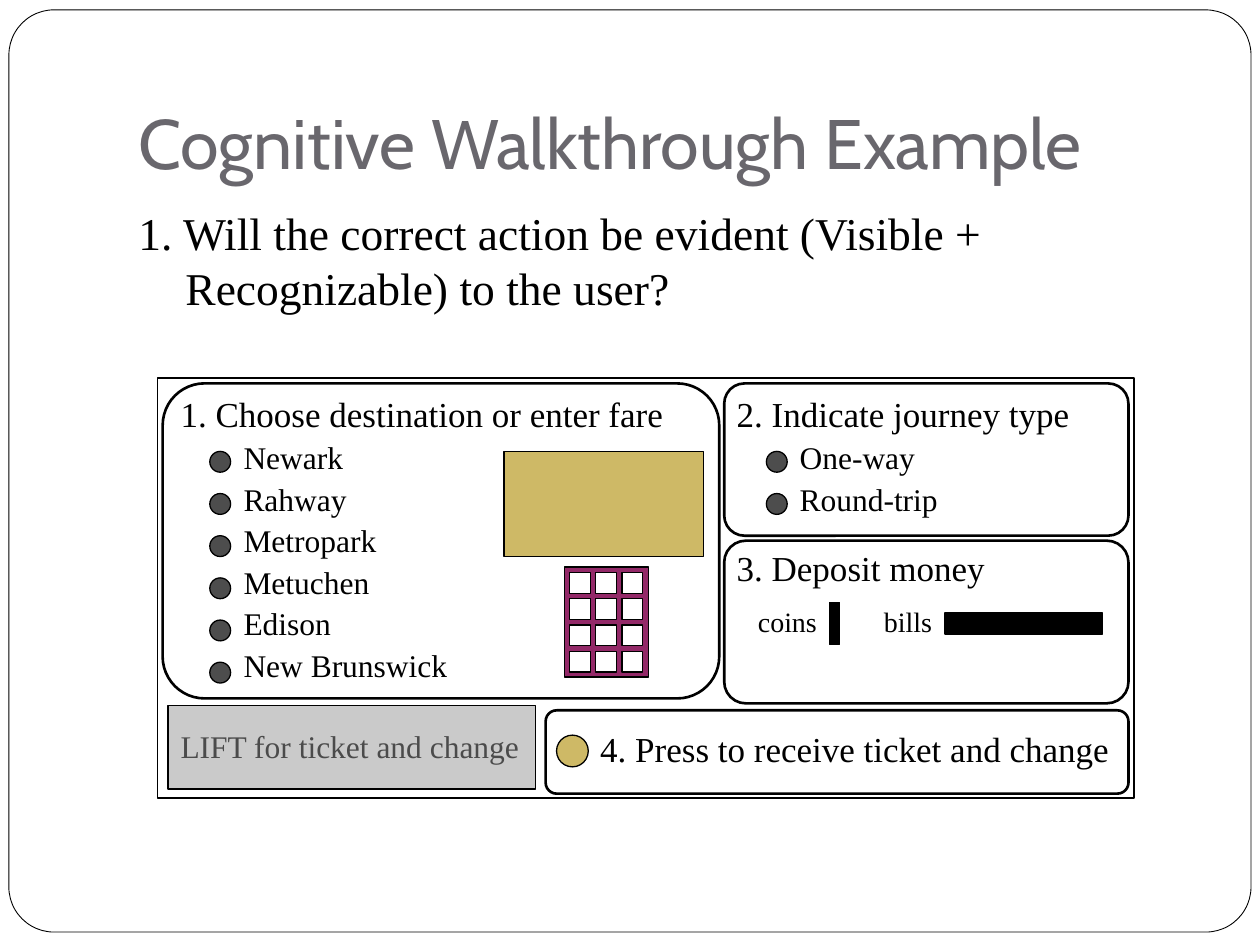
from dataclasses import dataclass
from itertools import product

from lxml import etree
from pptx import Presentation
from pptx import util as u
from pptx.dml.color import RGBColor
from pptx.enum import shapes as sh, text as tx
from pptx.oxml.ns import qn

INK = {"black": "000000", "white": "FFFFFF", "title": "69676D", "gold": "CEB966",
       "plum": "932968", "dot": "4D4D4D", "gray": "969696"}
SERIF = "Times New Roman"
RECT = sh.MSO_SHAPE.RECTANGLE
ROUND = sh.MSO_SHAPE.ROUNDED_RECTANGLE
OVAL = sh.MSO_SHAPE.OVAL
DOT = 0.42    # side of dots and keys, cm
ROW = 0.85    # step between choices
STEP = 0.53   # step between keys


@dataclass
class Box:
    x: float
    y: float
    w: float
    h: float

    def place(self) -> tuple:
        return tuple(u.Cm(v) for v in (self.x, self.y, self.w, self.h))


@dataclass
class Form:
    kind: int
    box: Box
    fill: str = ""
    line: float = 0.75
    adj: float = 0.133
    alpha: int = 100


@dataclass
class Label:
    box: Box
    head: str
    size: int = 20
    items: tuple = ()
    hang: float = 0
    face: str = SERIF
    ink: str = "black"
    grow: bool = True
    low: bool = False


def assign(obj, vals: dict) -> None:
    for name, val in vals.items():
        setattr(obj, name, val)


def draw(slide, form: Form) -> None:
    shape = slide.shapes.add_shape(form.kind, *form.box.place())
    shape.shadow.inherit = False
    if form.kind == ROUND:
        shape.adjustments[0] = form.adj
    if form.fill:
        shape.fill.solid()
        shape.fill.fore_color.rgb = RGBColor.from_string(INK[form.fill])
    else:
        shape.fill.background()
    if form.alpha < 100:
        tint = shape.fill._xPr.find(".//" + qn("a:srgbClr"))
        etree.SubElement(tint, qn("a:alpha"), val=str(form.alpha * 1000))
    shape.line.width = u.Pt(form.line)
    shape.line.color.rgb = RGBColor.from_string(INK["black"])


def write(slide, label: Label) -> None:
    frame = slide.shapes.add_textbox(*label.box.place()).text_frame
    fit = tx.MSO_AUTO_SIZE
    assign(frame, {
        "word_wrap": True,
        "auto_size": fit.SHAPE_TO_FIT_TEXT if label.grow else fit.NONE,
        "vertical_anchor": tx.MSO_ANCHOR.BOTTOM if label.low else tx.MSO_ANCHOR.TOP,
        "margin_bottom": u.Cm(0.25 if label.low else 0.13),
    })
    for num, line in enumerate((label.head, *label.items)):
        para = frame.add_paragraph() if num else frame.paragraphs[0]
        if label.hang:
            props = para._p.get_or_add_pPr()
            props.set("marL", str(u.Cm(label.hang)))
            props.set("indent", str(-u.Cm(label.hang)))
        if num:
            para.space_before = u.Pt(2.1)
        run = para.add_run()
        run.text = "\t" + line if num else line
        assign(run.font, {"name": label.face, "size": u.Pt(18 if num else label.size)})
        run.font.color.rgb = RGBColor.from_string(INK[label.ink])


def dots(slide, x: float, count: int) -> None:
    for num in range(count):
        draw(slide, Form(OVAL, Box(x, 9.1 + num * ROW, DOT, DOT), "dot"))


def main() -> None:
    deck = Presentation()
    assign(deck, {"slide_width": u.Cm(25.4), "slide_height": u.Cm(19.05)})
    slide = deck.slides.add_slide(deck.slide_layouts[6])

    # Page frame, title and question
    draw(slide, Form(ROUND, Box(0.18, 0.2, 25.04, 18.59), "white", 0.5, 0.049))
    write(slide, Label(Box(2.54, 0.76, 21.59, 3.18), "Cognitive Walkthrough Example",
                       40, face="Cabin", ink="title", grow=False, low=True))
    write(slide, Label(Box(2.54, 4.01, 21.59, 12.7),
                       "1. Will the correct action be evident (Visible + Recognizable) to the user?",
                       26, hang=0.95, grow=False))

    # Machine panel
    draw(slide, Form(RECT, Box(3.18, 7.62, 19.68, 8.47), "white"))

    # Step 1: destinations, display and keypad
    towns = ("Newark", "Rahway", "Metropark", "Metuchen", "Edison", "New Brunswick")
    write(slide, Label(Box(3.39, 7.79, 11.43, 6.23), "1. Choose destination or enter fare",
                       items=towns, hang=1.27))
    draw(slide, Form(RECT, Box(10.16, 9.1, 4.02, 2.12), "gold"))
    draw(slide, Form(RECT, Box(11.38, 11.43, 1.69, 2.22), "plum"))
    for row, col in product(range(4), range(3)):
        draw(slide, Form(RECT, Box(11.48 + col * STEP, 11.54 + row * STEP, DOT, DOT), "white"))
    dots(slide, 4.23, len(towns))
    draw(slide, Form(ROUND, Box(3.28, 7.73, 11.22, 6.35), line=1.5))

    # Step 2: journey type
    trips = ("One-way", "Round-trip")
    draw(slide, Form(ROUND, Box(14.6, 7.73, 8.15, 3.07), line=1.5))
    write(slide, Label(Box(14.6, 7.79, 8.05, 2.87), "2. Indicate journey type",
                       items=trips, hang=1.27))
    dots(slide, 15.45, len(trips))

    # Step 3: money slots
    draw(slide, Form(ROUND, Box(14.6, 10.9, 8.15, 3.28), line=1.5))
    write(slide, Label(Box(14.6, 10.9, 8.05, 1.09), "3. Deposit money", hang=1.27))
    for x, name, slot in ((15.03, "coins", Box(16.72, 12.14, 0.21, 0.85)),
                          (17.57, "bills", Box(19.05, 12.36, 3.18, 0.42))):
        draw(slide, Form(RECT, slot, "black"))
        write(slide, Label(Box(x, 12.07, 2.33, 0.94), name, 16))

    # Step 4: ticket button
    draw(slide, Form(ROUND, Box(11, 14.32, 11.75, 1.68), line=1.5))
    write(slide, Label(Box(11.85, 14.55, 10.9, 1.09), "4. Press to receive ticket and change",
                       hang=1.27))
    draw(slide, Form(OVAL, Box(11.22, 14.82, 0.64, 0.64), "gold"))

    # Ticket flap, tinted over its label
    write(slide, Label(Box(3.39, 14.53, 7.41, 1.02), "LIFT for ticket and change", 18))
    draw(slide, Form(RECT, Box(3.39, 14.22, 7.41, 1.69), "gray", alpha=50))

    deck.save("out.pptx")


if __name__ == "__main__":
    main()
